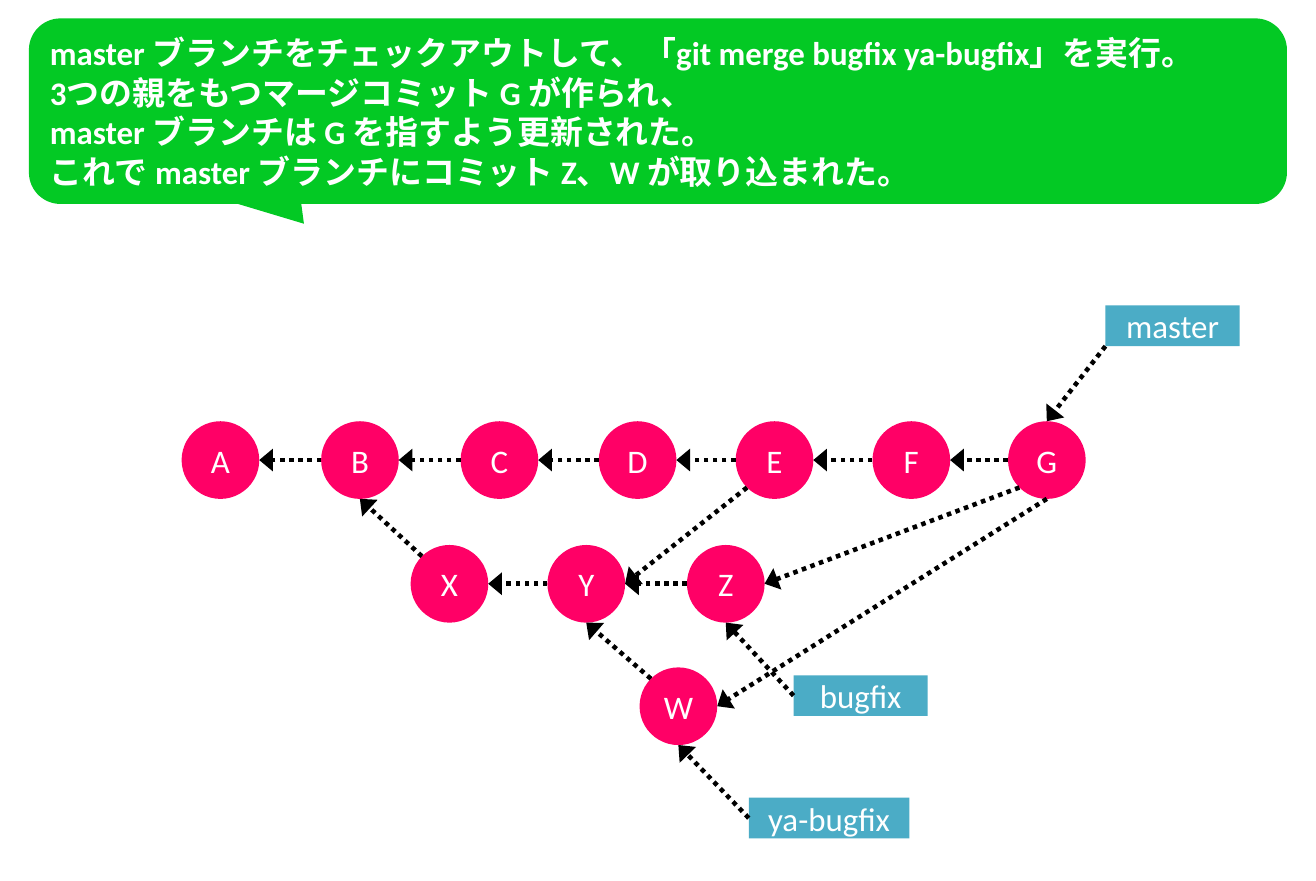
import math

import lxml.etree
import pptx
import pptx.dml.color
import pptx.enum.dml
import pptx.enum.shapes
import pptx.enum.text
import pptx.oxml.ns
import pptx.util

COLORS = {"commit": "FF0066", "branch": "4BACC6", "note": "03C924",
          "line": "000000", "text": "FFFFFF"}
FONT = {"name": "Calibri", "size": pptx.util.Pt(18)}
SIZE = 0.59
LABEL_H = 0.31
SHAPES = pptx.enum.shapes.MSO_SHAPE
ALIGN = pptx.enum.text.PP_ALIGN
ANCHOR = pptx.enum.text.MSO_ANCHOR
ANGLES = {"right": 0, "bottom_left": 135, "bottom": 90,
          "left": 180, "top_left": 225, "top": 270}

COMMIT_ROWS = [
    (3.2, "ABCDEFG", [1.38, 2.44, 3.5, 4.55, 5.59, 6.63, 7.66]),
    (4.14, "XYZ", [3.12, 4.16, 5.22]),
    (5.07, "W", [4.86]),
]
PARENTS = [
    ("B", "left", "A", "right"), ("C", "left", "B", "right"),
    ("D", "left", "C", "right"), ("E", "left", "D", "right"),
    ("F", "left", "E", "right"), ("G", "left", "F", "right"),
    ("Y", "left", "X", "right"), ("Z", "left", "Y", "right"),
    ("X", "top_left", "B", "bottom"), ("W", "top_left", "Y", "bottom"),
    ("E", "bottom_left", "Y", "right"), ("G", "bottom_left", "Z", "right"),
    ("G", "bottom", "W", "right"),
]
BRANCHES = [
    ("master", 8.4, 2.32, 1.02, "G", "top"),
    ("bugfix", 6.03, 5.13, 1.02, "Z", "bottom"),
    ("ya-bugfix", 5.69, 6.06, 1.22, "W", "bottom"),
]
NOTE = [
    "master ブランチをチェックアウトして、「git merge bugfix ya-bugfix」を実行。",
    "3つの親をもつマージコミット G が作られ、",
    "master ブランチは G を指すよう更新された。",
    "これで master ブランチにコミット Z、W が取り込まれた。",
]


def rgb(key):
    return pptx.dml.color.RGBColor.from_string(COLORS[key])


def inches(*values):
    return [pptx.util.Inches(v) for v in values]


def paint(sp, key):
    sp.shadow.inherit = False
    sp.fill.solid()
    sp.fill.fore_color.rgb = rgb(key)
    sp.line.fill.background()


def write(sp, lines, align, bold=False, **frame):
    tf = sp.text_frame
    for name, value in {"word_wrap": True, **frame}.items():
        setattr(tf, name, value)
    for i, line in enumerate(lines):
        p = tf.add_paragraph() if i else tf.paragraphs[0]
        p.alignment = align
        r = p.add_run()
        r.text = line
        for name, value in {**FONT, "bold": bold}.items():
            setattr(r.font, name, value)
        r.font.color.rgb = rgb("text")


def add_commit(s, name, x, y):
    sp = s.shapes.add_shape(SHAPES.OVAL, *inches(x, y, SIZE, SIZE))
    paint(sp, "commit")
    write(sp, [name], ALIGN.CENTER, vertical_anchor=ANCHOR.MIDDLE)


def add_branch(s, name, x, y, width):
    sp = s.shapes.add_shape(SHAPES.RECTANGLE, *inches(x, y, width, LABEL_H))
    paint(sp, "branch")
    write(sp, [name], ALIGN.CENTER, vertical_anchor=ANCHOR.MIDDLE,
          margin_top=0, margin_bottom=0,
          auto_size=pptx.enum.text.MSO_AUTO_SIZE.SHAPE_TO_FIT_TEXT)
    return sp


def add_arrow(s, start, end):
    c = s.shapes.add_connector(pptx.enum.shapes.MSO_CONNECTOR.STRAIGHT,
                               *inches(*start, *end))
    c.line.color.rgb = rgb("line")
    style = {"width": pptx.util.Pt(2.5),
             "dash_style": pptx.enum.dml.MSO_LINE.ROUND_DOT}
    for name, value in style.items():
        setattr(c.line, name, value)
    qn = pptx.oxml.ns.qn
    lxml.etree.SubElement(c.line._ln, qn("a:tailEnd"), type="triangle", w="lg")
    lxml.etree.SubElement(c._element.spPr, qn("a:effectLst"))
    return c


def on_circle(cx, cy, radius, degrees):
    angle = math.radians(degrees)
    return cx + radius * math.cos(angle), cy + radius * math.sin(angle)


def commit_side(corner, side):
    x, y = corner
    return on_circle(x + SIZE / 2, y + SIZE / 2, SIZE / 2, ANGLES[side])


def add_note(s):
    left, top, right, bottom, radius = 0.22, 0.14, 9.78, 1.55, 0.24
    centers = [(left + radius, top + radius, 180),
               (right - radius, top + radius, 270),
               (right - radius, bottom - radius, 0),
               (left + radius, bottom - radius, 90)]
    arcs = [[on_circle(cx, cy, radius, start + step) for step in range(0, 91, 6)]
            for cx, cy, start in centers]
    tail = [(2.29, bottom), (2.31, 1.7), (1.81, bottom)]
    points = [inches(*pt) for pt in arcs[0] + arcs[1] + arcs[2] + tail + arcs[3]]
    builder = s.shapes.build_freeform(*points[0], scale=1.0)
    builder.add_line_segments(points[1:], close=True)
    sp = builder.convert_to_shape()
    paint(sp, "note")
    side, head = inches(0.16, 0.11)
    write(sp, NOTE, ALIGN.LEFT, bold=True, vertical_anchor=ANCHOR.TOP,
          margin_left=side, margin_right=side, margin_top=head, margin_bottom=0)


def main():
    prs = pptx.Presentation()
    prs.slide_width = pptx.util.Cm(25.4)
    prs.slide_height = pptx.util.Cm(17)
    s = prs.slides.add_slide(prs.slide_layouts[6])

    commits = {name: (x, y)
               for y, names, columns in COMMIT_ROWS
               for name, x in zip(names, columns)}
    for name, corner in commits.items():
        add_commit(s, name, *corner)
    for child, start, parent, end in PARENTS:
        add_arrow(s, commit_side(commits[child], start),
                  commit_side(commits[parent], end))
    for name, x, y, width, commit, side in BRANCHES:
        sp = add_branch(s, name, x, y, width)
        c = add_arrow(s, (x, y + LABEL_H), commit_side(commits[commit], side))
        if side == "bottom":
            c.begin_connect(sp, 1)
    add_note(s)
    prs.save("out.pptx")


if __name__ == "__main__":
    main()
